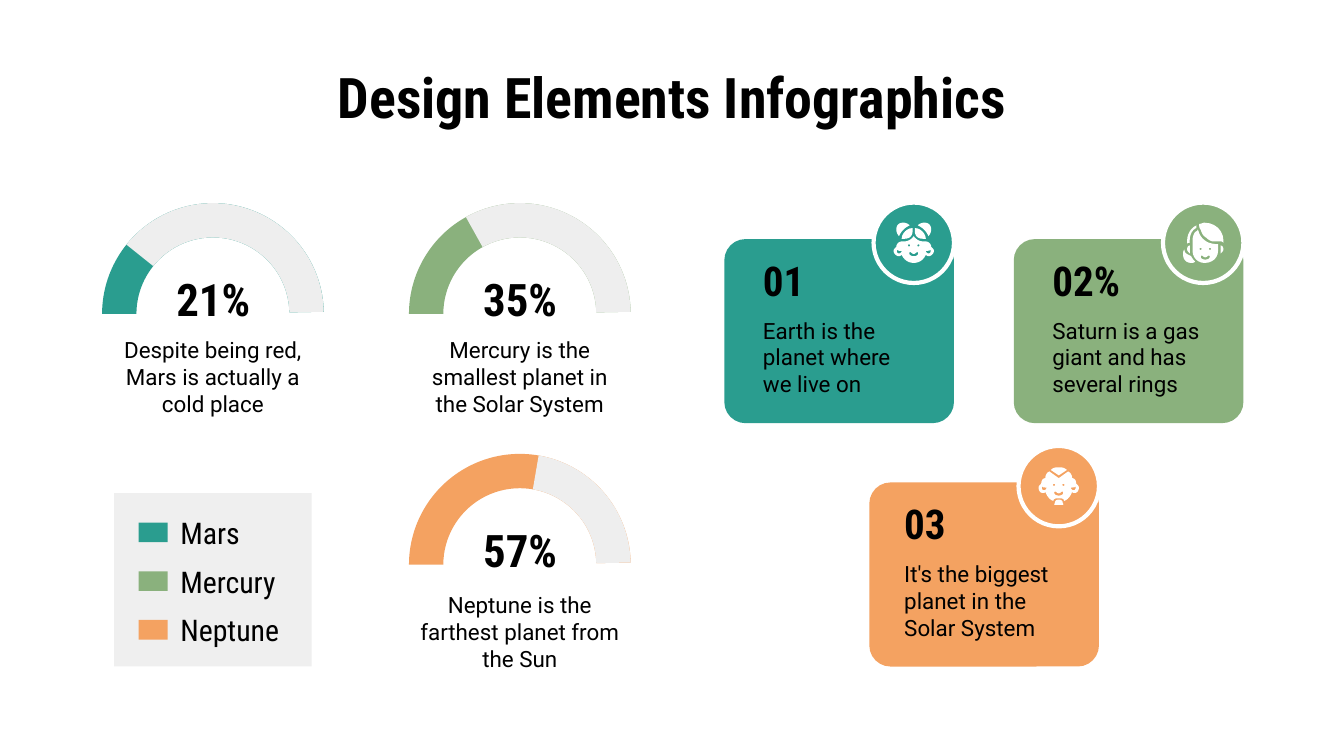
from pptx import Presentation
from pptx.dml.color import RGBColor
from pptx.enum.shapes import MSO_SHAPE
from pptx.enum.text import MSO_ANCHOR, PP_ALIGN
from pptx.util import Cm, Pt

ARC, RECT = MSO_SHAPE.BLOCK_ARC, MSO_SHAPE.RECTANGLE
ROUND, OVAL = MSO_SHAPE.ROUNDED_RECTANGLE, MSO_SHAPE.OVAL
TOP, MID = MSO_ANCHOR.TOP, MSO_ANCHOR.MIDDLE
LEFT, MIDDLE = PP_ALIGN.LEFT, PP_ALIGN.CENTER

COLORS = {"teal": "2A9D8F", "green": "8AB17D", "orange": "F4A261",
          "track": "EEEEEE", "panel": "EFEFEF", "white": "FFFFFF", "ink": "000000"}
HEAD, BODY = "Roboto Condensed", "Roboto"
UNIT = 0.0254
STEPS = 6

EYE = "M -4.3 2 C -4.3 0.9 -2.7 0.9 -2.7 2 C -2.7 3.1 -4.3 3.1 -4.3 2"
MOUTH = ("M 3 7 C 4 8 3 10 0 10 C -3 10 -4 8 -3 7 "
         "C -2 6.5 -1.5 8.3 0 8.3 C 1.5 8.3 2 6.5 3 7")
EAR = "M -12.5 5 C -12 6 -11 6 -9 6 C -9 7 -10 8 -11 8 C -12 8 -13 7 -12.5 5"
BUN = ("M -8 -15 C -11 -15 -13 -13 -13 -10 C -13 -8 -12 -6 -11 -5 "
       "C -9 -9 -7 -11 -3 -13 C -4 -14 -6 -15 -8 -15")
FRINGE = "M -0.8 -11 C -5 -11 -9 -7 -9 -3 L -7 -3 C -3 -3 -0.8 -5 -0.8 -9"
GIRL = ("M 0 -5 C -1 -3 -4 -1 -7 -1 L -9 -1 C -11 -1 -13 1 -13 3 "
        "C -14 4 -15 5 -15 6 C -15 8 -13 10 -11 10 C -10 10 -9 9 -9 9 "
        "C -7 13 -4 15 0 15 C 4 15 7 13 9 9 C 9 9 10 10 11 10 "
        "C 13 10 15 8 15 6 C 15 5 14 4 13 3 C 13 1 11 -1 9 -1 "
        "L 7 -1 C 4 -1 1 -3 0 -5")
LADY = ("M -4 -10 C -4 -9 -6 -8 -6 -8 C -7 -7 -8 -4 -8 -2 L -8 6 "
        "C -8 11 -4 15 1 15 C 7 15 11 11 11 6 L 11 1 C 7 1 3 0 1 -2 "
        "C -2 -4 -3 -7 -4 -10")
LOCKS = [
    "M -10 2 C -11 2 -12 3 -12 5 C -12 6 -11 7 -10 8",
    "M -14 5 C -15 6 -15 7 -15 9 C -15 12 -13 15 -9 15 C -8 15 -7 15 -6 14 "
    "C -7 13 -8 12 -9 10 L -11 9 C -13 8 -14 7 -14 5",
    "M 13 2 L 13 8 C 14 7 15 6 15 5 C 15 3 14 2 13 2",
    "M 1 -15 C 0 -15 -2 -14 -3 -14 C -3 -12 -3 -11 -2 -10 C -1 -7 0 -5 2 -4 "
    "C 4 -2 6 -1 8 -1 L 13 -1 C 14 -1 14 -1 15 0 L 15 -2 C 15 -9 9 -15 1 -15",
    "M -5 -13 C -9 -11 -12 -7 -12 -1 L -12 1 C -12 0 -11 0 -10 0 "
    "L -10 -2 C -10 -6 -8 -10 -5 -11",
]
MAN = ("M -7 -11 C -9 -10 -10 -8 -10 -6 C -12 -6 -13 -4 -13 -2 "
       "C -14 -1 -15 0 -15 1 C -15 3 -14 5 -12 5 C -11 5 -10 5 -10 4 "
       "C -9 7 -7 10 -4 11 C -4 9 -2 9 0 9 C 2 9 4 9 4 11 "
       "C 7 10 9 7 10 4 C 10 5 11 5 12 5 C 14 5 15 3 15 1 "
       "C 15 0 14 -1 13 -2 C 13 -4 12 -6 10 -6 C 10 -8 9 -10 7 -11 L 0 -6")
BEARD = ("M 0 10 C -2 10 -3 11 -3 13 C -4 13 -3 14 -3 14 L 3 14 "
         "C 3 14 4 13 3 13 C 3 11 2 10 0 10")
CAP = "M 0 -14 C -2 -14 -4 -14 -6 -12 L 0 -8 L 6 -12 C 4 -14 2 -14 0 -14"


def trace(path, dx=0, dy=0, flip=1):
    points, words = [], path.split()
    while words:
        count = 6 if words.pop(0) == "C" else 2
        nums = [float(word) for word in words[:count]]
        words = words[count:]
        pairs = list(zip(nums[::2], nums[1::2]))
        if count == 2:
            points += pairs
            continue
        a, (b, c, d) = points[-1], pairs
        for step in range(1, STEPS + 1):
            t = step / STEPS
            u = 1 - t
            points.append(tuple(
                u**3 * a[i] + 3 * u * u * t * b[i] + 3 * u * t * t * c[i] + t**3 * d[i]
                for i in (0, 1)))
    return [(x * flip + dx, y + dy) for x, y in points]


def pair(path, dx=0, dy=0):
    return [trace(path, dx, dy, flip) for flip in (1, -1)]


def smile(dx=0, dy=0):
    return pair(EYE, dx, dy) + [trace(MOUTH, dx, dy)]


ICONS = {
    "girl": [[ring] for ring in pair(BUN) + pair(FRINGE)]
            + [[trace(GIRL)] + smile() + pair(EAR)],
    "lady": [[trace(lock)] for lock in LOCKS] + [[trace(LADY)] + smile(1.5, 2.5)],
    "man": [[trace(BEARD)], [trace(CAP)],
            [trace(MAN)] + smile(0, -3) + pair(EAR, 0, -5)],
}


class Deck:
    def __init__(self):
        self.file = Presentation()
        self.file.slide_width, self.file.slide_height = Cm(25.4), Cm(14.29)
        self.slide = self.file.slides.add_slide(self.file.slide_layouts[6])

    def paint(self, shape, fill, line=None):
        shape.shadow.inherit = False
        shape.fill.solid()
        shape.fill.fore_color.rgb = RGBColor.from_string(COLORS[fill])
        if line:
            shape.line.color.rgb = RGBColor.from_string(COLORS[line])
            shape.line.width = Pt(2.25)
        else:
            shape.line.fill.background()

    def shape(self, kind, x, y, w, h, fill, line=None, adjust=()):
        shape = self.slide.shapes.add_shape(kind, Cm(x), Cm(y), Cm(w), Cm(h))
        for index, value in enumerate(adjust):
            shape.adjustments[index] = value
        self.paint(shape, fill, line)

    def text(self, words, x, y, w, h, size, font=HEAD, bold=False,
             align=LEFT, anchor=MID, pad=0.25):
        frame = self.slide.shapes.add_textbox(Cm(x), Cm(y), Cm(w), Cm(h)).text_frame
        frame.word_wrap, frame.vertical_anchor = True, anchor
        frame.margin_left = frame.margin_right = Cm(0.25)
        frame.margin_top = frame.margin_bottom = Cm(pad)
        line = frame.paragraphs[0]
        line.alignment = align
        run = line.add_run()
        run.text = words
        run.font.name, run.font.size, run.font.bold = font, Pt(size), bold
        run.font.color.rgb = RGBColor.from_string(COLORS["ink"])

    def icon(self, name, x, y):
        for rings in ICONS[name]:
            rings = [[(Cm(x + a * UNIT), Cm(y + b * UNIT)) for a, b in ring]
                     for ring in rings]
            pen = self.slide.shapes.build_freeform(*rings[0][0])
            pen.add_line_segments(rings[0][1:], close=True)
            for ring in rings[1:]:
                pen.move_to(*ring[0])
                pen.add_line_segments(ring[1:], close=True)
            self.paint(pen.convert_to_shape(), "white")

    def gauge(self, x, y, color, start, label, note, drop):
        for fill, angle in ((color, 108), ("track", start)):
            self.shape(ARC, x, y, 4.19, 4.19, fill, adjust=(angle, 215.33, 0.155))
        self.text(label, x + 0.98, y + 1.28, 2.24, 1.04, 24, bold=True, align=MIDDLE)
        self.text(note, x - 0.04, y + drop, 4.27, 1.96, 12, BODY,
                  align=MIDDLE, anchor=TOP)

    def card(self, x, y, color, label, note, icon, inset):
        self.shape(ROUND, x, y, 4.34, 3.48, color, adjust=(0.115,))
        self.shape(OVAL, x + 2.82, y - 0.69, 1.52, 1.52, color, "white")
        self.icon(icon, x + 3.58, y + 0.07)
        self.text(label, x + inset, y + 0.38, 2.1, 0.79, 22, bold=True, pad=0.13)
        self.text(note, x + inset, y + 1.19, 3.38, 2.08, 12, BODY, pad=0.13)

    def legend(self, x, y, items):
        self.shape(RECT, x, y, 3.73, 3.28, "panel")
        for row, (name, color) in enumerate(items):
            top = y + 0.56 + row * 0.92
            self.shape(RECT, x + 0.46, top, 0.55, 0.37, color)
            self.text(name, x + 1, top - 0.1, 2.72, 0.58, 16)


def main():
    deck = Deck()
    deck.text("Design Elements Infographics", 1.27, 1.14, 22.86, 1.35, 30,
              bold=True, align=MIDDLE)
    deck.legend(2.16, 9.32, [("Mars", "teal"), ("Mercury", "green"),
                             ("Neptune", "orange")])
    for gauge in (
        (1.93, 3.84, "teal", 131.24, "21%",
         "Despite being red, Mars is actually a cold place", 2.26),
        (7.73, 3.84, "green", 144.54, "35%",
         "Mercury is the smallest planet in the Solar System", 2.26),
        (7.73, 8.58, "orange", 167.88, "57%",
         "Neptune is the farthest planet from the Sun", 2.34),
    ):
        deck.gauge(*gauge)
    for card in (
        (13.69, 4.52, "teal", "01", "Earth is the planet where we live on", "girl", 0.48),
        (19.16, 4.52, "green", "02%", "Saturn is a gas giant and has several rings",
         "lady", 0.48),
        (16.43, 9.12, "orange", "03", "It's the biggest planet in the Solar System",
         "man", 0.41),
    ):
        deck.card(*card)
    deck.file.save("out.pptx")


if __name__ == "__main__":
    main()
